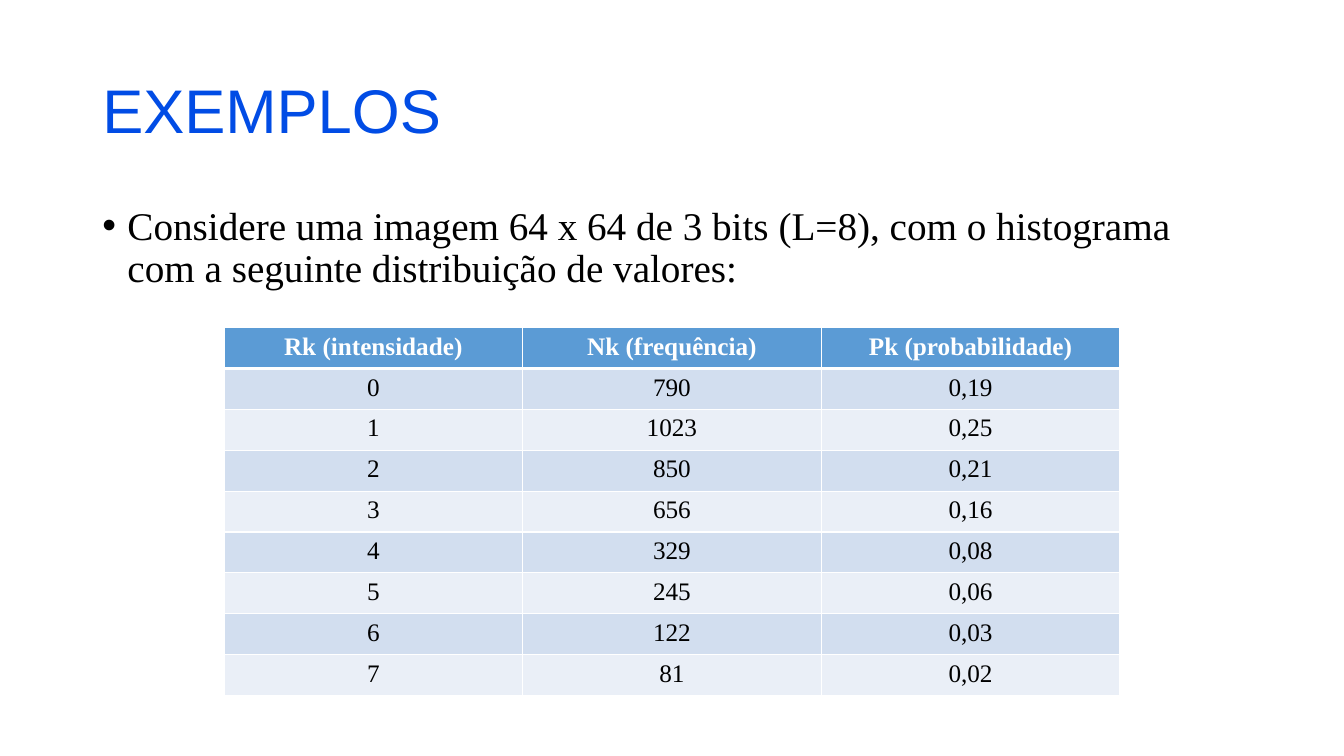
import pptx
import pptx.util
import pptx.dml.color
import pptx.enum.text
import pptx.oxml
import pptx.oxml.ns

Pt = pptx.util.Pt
Rgb = pptx.dml.color.RGBColor.from_string
Align = pptx.enum.text.PP_ALIGN
Anchor = pptx.enum.text.MSO_ANCHOR

TITLE = "EXEMPLOS"
BODY = ("Considere uma imagem 64 x 64 de 3 bits (L=8), com o histograma "
        "com a seguinte distribuição de valores:")
HEAD = ("Rk (intensidade)", "Nk (frequência)", "Pk (probabilidade)")
ROWS = [
    ("0", "790", "0,19"),
    ("1", "1023", "0,25"),
    ("2", "850", "0,21"),
    ("3", "656", "0,16"),
    ("4", "329", "0,08"),
    ("5", "245", "0,06"),
    ("6", "122", "0,03"),
    ("7", "81", "0,02"),
]

THEME = {
    "blue": "014CE5", "black": "000000", "white": "FFFFFF",
    "head": "5B9BD5", "bands": ("D2DEEF", "EAEFF7"),
    "sans": "Arial", "serif": "Times New Roman",
    "title": 44, "body": 28, "cell": 18,
    "thin": 1, "thick": 3,
}
WIDE, HIGH = 960, 540
LEFT = 66
GRID_W, ROW_H = 640, 29.2
GRID_TOP = 234


def write(frame, text, font, size, color, bold=False, align=Align.LEFT,
          line=None, before=None):
    par = frame.paragraphs[0]
    par.alignment = align
    if line:
        par.line_spacing = line
    if before:
        par.space_before = Pt(before)
    run = par.add_run()
    run.text = text
    run.font.name = font
    run.font.size = Pt(size)
    run.font.bold = bold
    run.font.color.rgb = Rgb(color)
    return par


def add_box(slide, top, high, anchor):
    box = slide.shapes.add_textbox(Pt(LEFT), Pt(top), Pt(WIDE - 2 * LEFT), Pt(high))
    frame = box.text_frame
    frame.word_wrap = True
    frame.vertical_anchor = anchor
    return frame


def add_dot(par, indent):
    props = par._p.get_or_add_pPr()
    props.set("marL", str(Pt(indent)))
    props.set("indent", str(-Pt(indent)))
    space = pptx.oxml.ns.nsdecls("a")
    for xml in (f'<a:buFont {space} typeface="Arial"/>',
                f'<a:buChar {space} char="•"/>'):
        props.append(pptx.oxml.parse_xml(xml))


def add_edge(cell, base):
    props = cell._tc.get_or_add_tcPr()
    sides = {"L": THEME["thin"], "R": THEME["thin"], "T": THEME["thin"], "B": base}
    for spot, (side, size) in enumerate(sides.items()):
        props.insert(spot, pptx.oxml.parse_xml(
            f'<a:ln{side} {pptx.oxml.ns.nsdecls("a")} w="{Pt(size)}"><a:solidFill>'
            f'<a:srgbClr val="{THEME["white"]}"/></a:solidFill></a:ln{side}>'))


def add_grid(slide):
    rows = [HEAD] + ROWS
    grid = slide.shapes.add_table(
        len(rows), len(HEAD), Pt((WIDE - GRID_W) / 2), Pt(GRID_TOP),
        Pt(GRID_W), Pt(ROW_H * len(rows))).table
    for r, row in enumerate(rows):
        top = r == 0
        fill = THEME["head"] if top else THEME["bands"][(r - 1) % 2]
        for c, text in enumerate(row):
            cell = grid.cell(r, c)
            cell.fill.solid()
            cell.fill.fore_color.rgb = Rgb(fill)
            add_edge(cell, THEME["thick"] if top else THEME["thin"])
            write(cell.text_frame, text, THEME["serif"], THEME["cell"],
                  THEME["white"] if top else THEME["black"],
                  bold=top, align=Align.CENTER)


def main():
    deck = pptx.Presentation()
    deck.slide_width, deck.slide_height = Pt(WIDE), Pt(HIGH)
    slide = deck.slides.add_slide(deck.slide_layouts[6])
    write(add_box(slide, 28.8, 104.4, Anchor.MIDDLE), TITLE,
          THEME["sans"], THEME["title"], THEME["blue"], line=0.9)
    par = write(add_box(slide, 144, 342.6, Anchor.TOP), BODY,
                THEME["serif"], THEME["body"], THEME["black"], line=0.9, before=10)
    add_dot(par, 18)
    add_grid(slide)
    deck.save("out.pptx")


if __name__ == "__main__":
    main()
